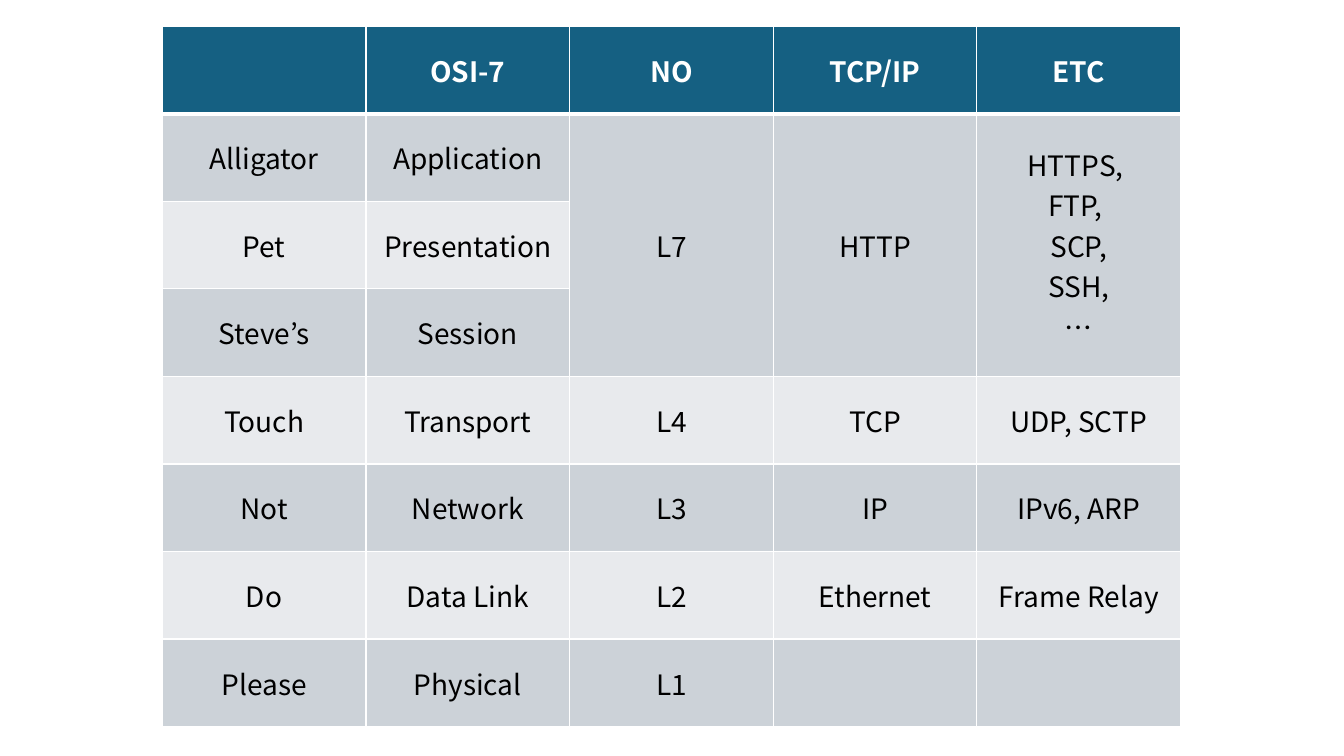
import pptx
import pptx.util
import pptx.dml.color
import pptx.enum.text
import pptx.oxml
import pptx.oxml.ns

Inches = pptx.util.Inches
COLORS = {
    "head": "156082",
    "dark": "CCD2D8",
    "light": "E8EAED",
    "white": "FFFFFF",
    "black": "000000",
}
FACE = "Noto Sans CJK KR"
HEAD = ["", "OSI-7", "NO", "TCP/IP", "ETC"]
LAYERS = [
    ["Alligator", "Application", "L7", "HTTP", "HTTPS, \nFTP, \nSCP,\nSSH,\n…"],
    ["Pet", "Presentation", "", "", ""],
    ["Steve’s", "Session", "", "", ""],
    ["Touch", "Transport", "L4", "TCP", "UDP, SCTP"],
    ["Not", "Network", "L3", "IP", "IPv6, ARP"],
    ["Do", "Data Link", "L2", "Ethernet", "Frame Relay"],
    ["Please", "Physical", "L1", "", ""],
]


def shade(name):
    return pptx.dml.color.RGBColor.from_string(COLORS[name])


class Deck:
    def __init__(self):
        self.show = pptx.Presentation()
        self.show.slide_width = Inches(13.33)
        self.show.slide_height = Inches(7.5)
        self.slide = self.show.slides.add_slide(self.show.slide_layouts[6])

    def edge(self, cell, side, width):
        """Draw one white border; side is L, R, T or B."""
        space = pptx.oxml.ns.nsdecls("a")
        cell._tc.get_or_add_tcPr().append(pptx.oxml.parse_xml(
            f'<a:ln{side} {space} w="{pptx.util.Pt(width)}"><a:solidFill>'
            f'<a:srgbClr val="{COLORS["white"]}"/></a:solidFill></a:ln{side}>'))

    def label(self, cell, text, style):
        cell.text = text
        cell.vertical_anchor = pptx.enum.text.MSO_ANCHOR.MIDDLE
        for para in cell.text_frame.paragraphs:
            para.alignment = pptx.enum.text.PP_ALIGN.CENTER
            for run in para.runs:
                for key, value in style.items():
                    setattr(run.font, key, value)
                run.font.color.rgb = shade("white" if style["bold"] else "black")
                east = pptx.oxml.parse_xml(
                    f'<a:ea {pptx.oxml.ns.nsdecls("a")} typeface="{FACE}"/>')
                run._r.get_or_add_rPr().append(east)

    def table(self, rows, box, spans):
        """Fill a banded table; spans are (top, left, bottom, right) cells."""
        frame = self.slide.shapes.add_table(
            len(rows), len(rows[0]), *(Inches(n) for n in box))
        grid = frame.table
        for y, row in enumerate(rows):
            head = y == 0
            style = {"name": FACE, "size": pptx.util.Pt(20), "bold": head}
            for x, text in enumerate(row):
                cell = grid.cell(y, x)
                self.label(cell, text, style)
                for side in "LRTB":
                    thick = (head and side == "B") or (y == 1 and side == "T")
                    self.edge(cell, side, 3 if thick else 1)
                cell.fill.solid()
                band = "dark" if y % 2 else "light"
                cell.fill.fore_color.rgb = shade("head" if head else band)
        for top, left, bottom, right in spans:
            grid.cell(top, left).merge(grid.cell(bottom, right))


def main():
    deck = Deck()
    spans = [(1, x, 3, x) for x in (2, 3, 4)]
    deck.table([HEAD] + LAYERS, (1.61, 0.26, 10.1, 6.95), spans)
    deck.show.save("out.pptx")


if __name__ == "__main__":
    main()
